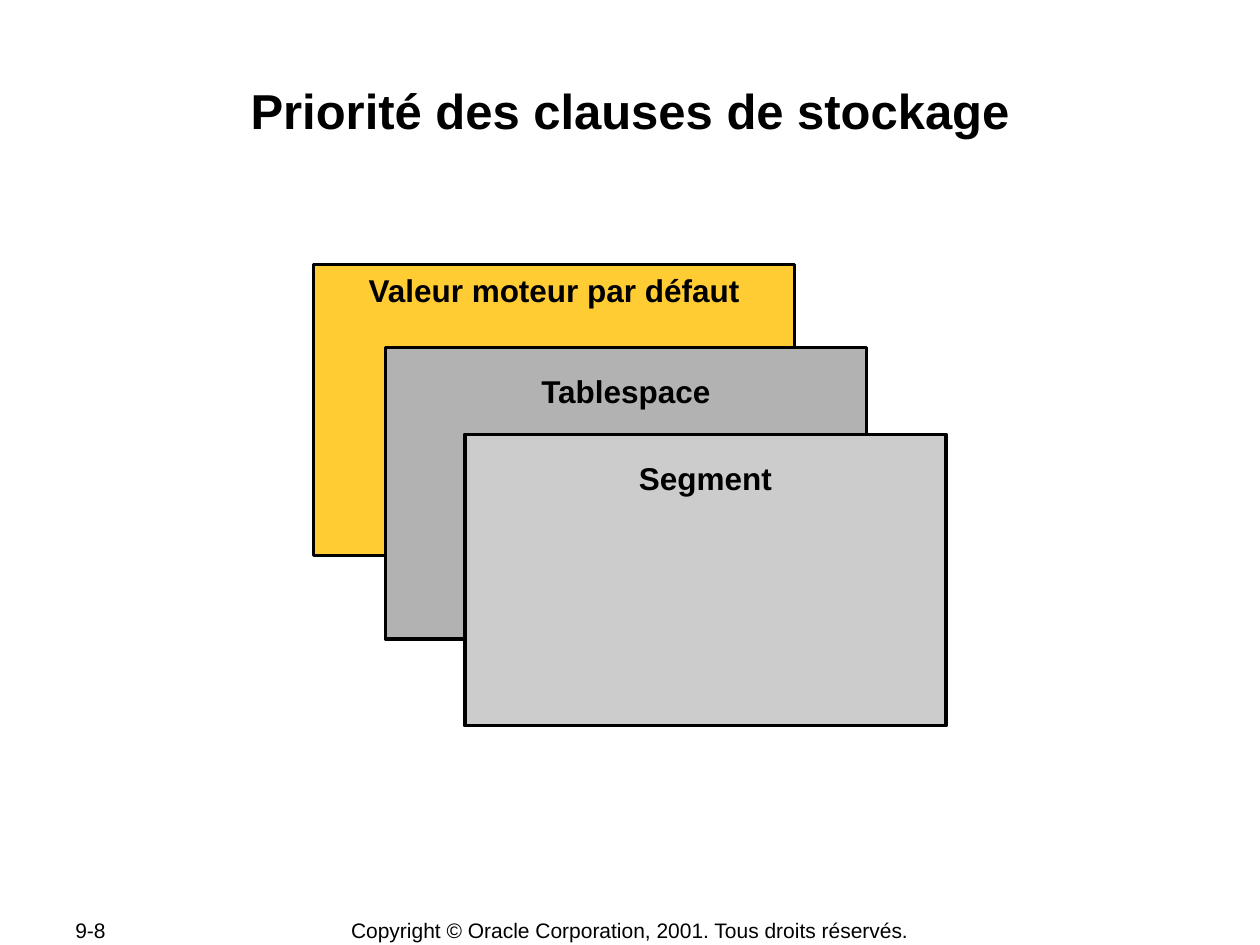
from pptx import Presentation
from pptx.dml.color import RGBColor as RGB
from pptx.enum.shapes import MSO_SHAPE as SHAPE
from pptx.enum.text import MSO_ANCHOR as ANCHOR, PP_ALIGN as ALIGN
from pptx.util import Cm, Pt

COLORS = {
    "ink": "000000",
    "default": "FFCC33",
    "tablespace": "B2B2B2",
    "segment": "CCCCCC",
}
CARD_W, CARD_H = 9.7, 5.87


def color(name):
    return RGB.from_string(COLORS[name])


def set_text(sp, text, size, bold=False, align=ALIGN.CENTER,
             anchor=ANCHOR.TOP, top=0):
    tf = sp.text_frame
    tf.text = text
    tf.word_wrap = True
    tf.vertical_anchor = anchor
    tf.margin_left = tf.margin_right = tf.margin_bottom = 0
    tf.margin_top = Cm(top)
    p = tf.paragraphs[0]
    p.alignment = align
    r = p.runs[0]
    r.font.name = "Arial"
    r.font.size = Pt(size)
    r.font.bold = bold
    r.font.color.rgb = color("ink")


def add_label(s, x, y, w, h, text, size, **style):
    sp = s.shapes.add_textbox(Cm(x), Cm(y), Cm(w), Cm(h))
    set_text(sp, text, size, **style)


def add_card(s, x, y, fill, text, top):
    sp = s.shapes.add_shape(SHAPE.RECTANGLE, Cm(x), Cm(y), Cm(CARD_W), Cm(CARD_H))
    sp.shadow.inherit = False
    sp.fill.solid()
    sp.fill.fore_color.rgb = color(fill)
    sp.line.color.rgb = color("ink")
    sp.line.width = Pt(2)
    set_text(sp, text, 18, bold=True, top=top)


def main():
    prs = Presentation()
    prs.slide_width, prs.slide_height = Cm(25.4), Cm(19.05)
    s = prs.slides.add_slide(prs.slide_layouts[6])

    add_label(s, 1.52, 18.5, 2.44, 0.52, "9-8", 12,
              align=ALIGN.LEFT, anchor=ANCHOR.MIDDLE)
    add_label(s, 7, 18.5, 11.4, 0.52,
              "Copyright © Oracle Corporation, 2001. Tous droits réservés.", 12,
              anchor=ANCHOR.MIDDLE)
    add_label(s, 2.54, 1.47, 20.32, 2.44, "Priorité des clauses de stockage", 28,
              bold=True, top=0.15)

    cards = [
        (6.32, 5.33, "default", "Valeur moteur par défaut", 0.14),
        (7.77, 7.01, "tablespace", "Tablespace", 0.5),
        (9.37, 8.76, "segment", "Segment", 0.5),
    ]
    for card in cards:
        add_card(s, *card)

    prs.save("out.pptx")


if __name__ == "__main__":
    main()
